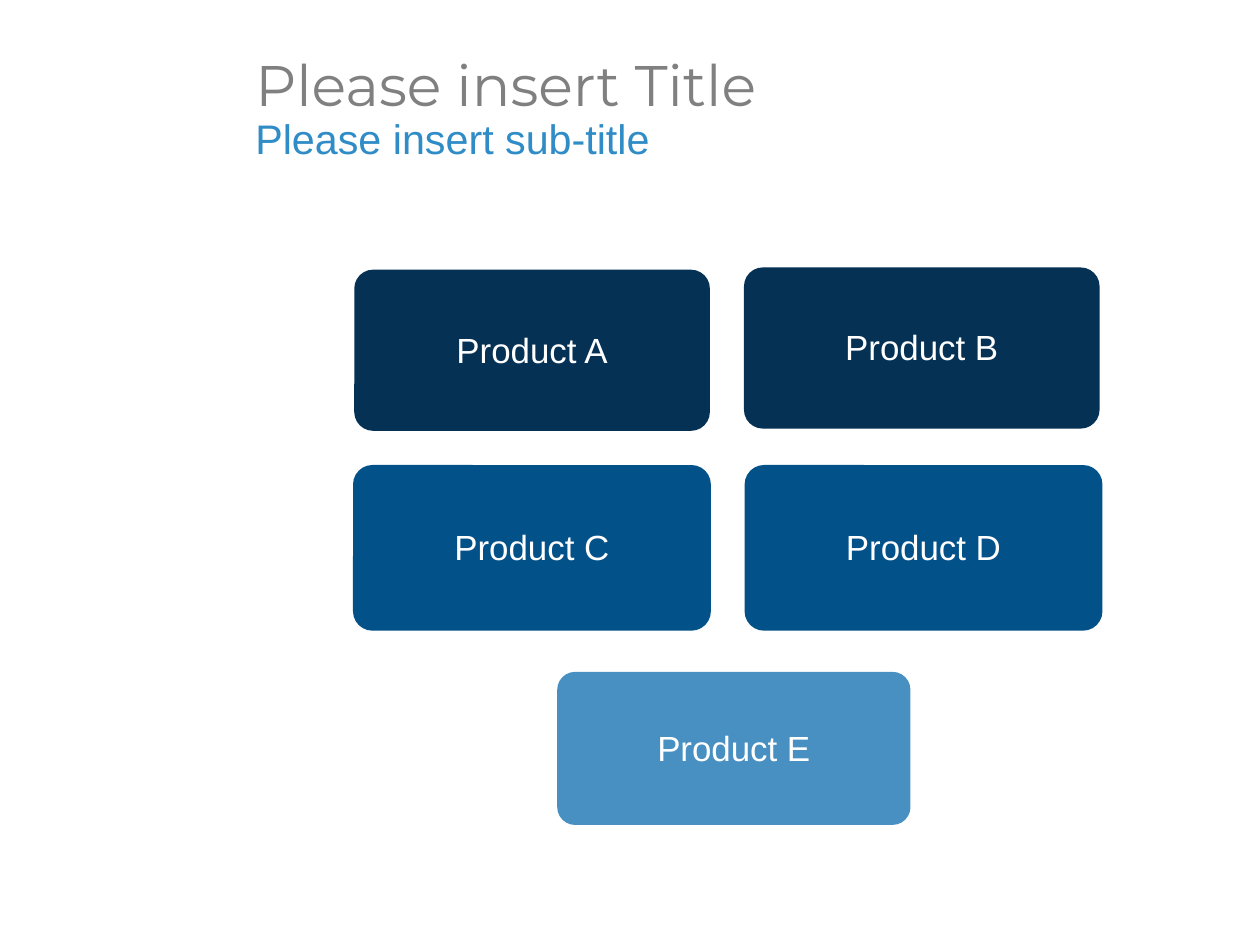
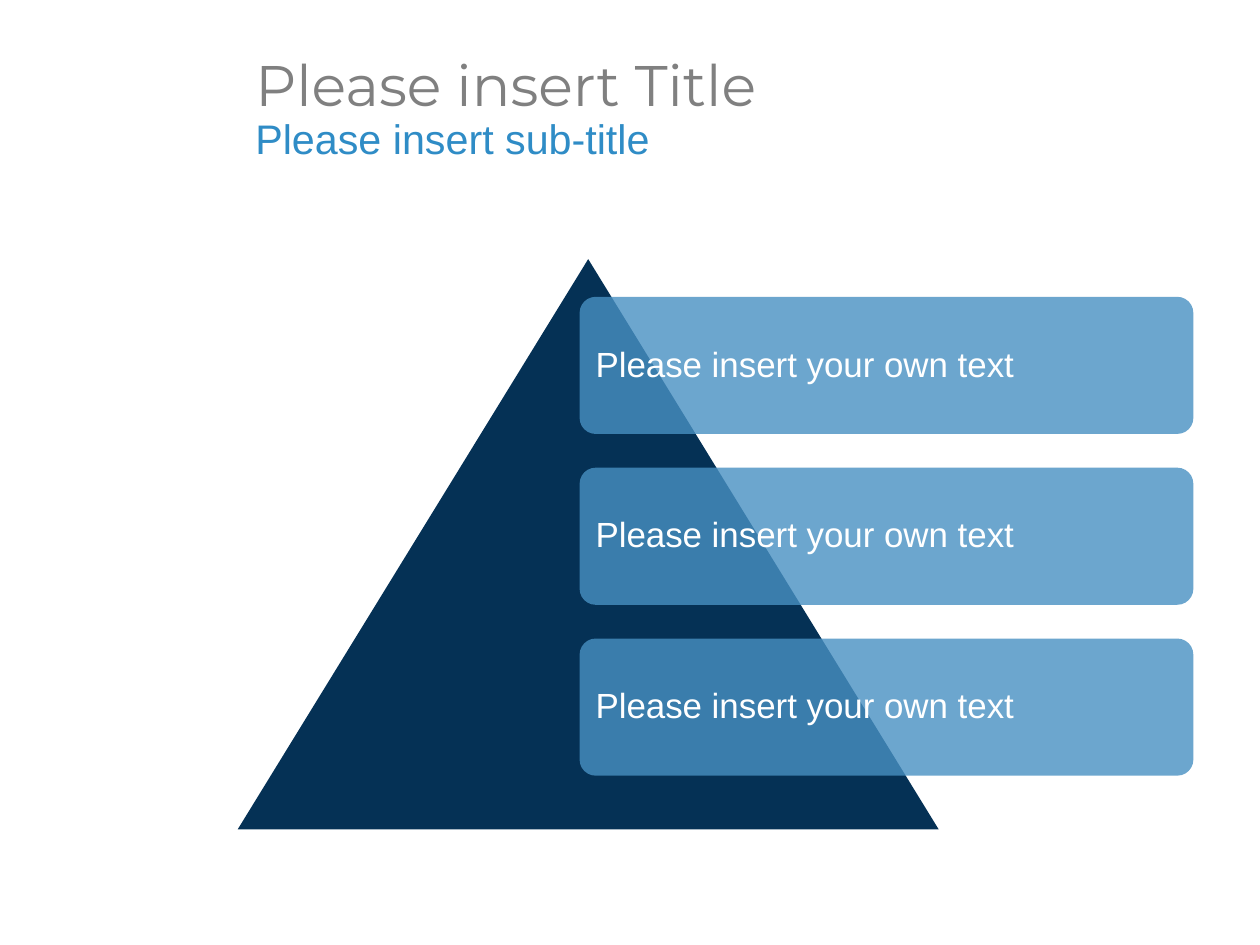
from dataclasses import dataclass

from lxml import etree
from pptx import Presentation
from pptx.dml.color import RGBColor
from pptx.enum.shapes import MSO_SHAPE
from pptx.enum.text import MSO_ANCHOR, PP_ALIGN
from pptx.oxml.ns import qn
from pptx.util import Cm, Inches, Pt

ROUND = MSO_SHAPE.ROUNDED_RECTANGLE
PEAK = MSO_SHAPE.ISOSCELES_TRIANGLE
LEFT, CENTER = PP_ALIGN.LEFT, PP_ALIGN.CENTER
TOP, MIDDLE = MSO_ANCHOR.TOP, MSO_ANCHOR.MIDDLE


@dataclass(frozen=True)
class Theme:
    width: int = Cm(28)
    height: int = Cm(21)
    cells: int = 100
    navy: str = "053155"
    blue: str = "035189"
    sky: str = "4890C2"
    accent: str = "2F8CC6"
    gray: str = "808080"
    white: str = "FFFFFF"
    head: str = "Montserrat"
    body: str = "Arial"
    title: int = 36
    sub: int = 26
    label: int = 22
    loose: float = 1.18
    tight: float = 0.93
    corner: float = 0.117
    side: float = 0.1
    edge: float = 0.05


class Deck:
    def __init__(self, theme):
        self.theme = theme
        self.file = Presentation()
        self.file.slide_width = theme.width
        self.file.slide_height = theme.height
        self.slide = None

    def place(self, col, row, cols, rows):
        wide = self.theme.width / self.theme.cells
        high = self.theme.height / self.theme.cells
        return [round(n) for n in (col * wide, row * high, cols * wide, rows * high)]

    def page(self):
        self.slide = self.file.slides.add_slide(self.file.slide_layouts[6])
        fill = self.slide.background.fill
        fill.solid()
        fill.fore_color.rgb = RGBColor.from_string(self.theme.white)

    def frame(self, shape, anchor, top):
        frame = shape.text_frame
        frame.word_wrap = True
        frame.vertical_anchor = anchor
        frame.margin_left = frame.margin_right = Inches(self.theme.side)
        frame.margin_top = Inches(top)
        frame.margin_bottom = Inches(self.theme.edge)
        return frame

    def style(self, para, font, size, color, space, align=LEFT):
        para.alignment = align
        para.line_spacing = space
        for run in para.runs:
            run.font.name = font
            run.font.size = Pt(size)
            run.font.color.rgb = RGBColor.from_string(color)

    def title(self, main, sub):
        t = self.theme
        box = self.slide.shapes.add_textbox(*self.place(19.37, 3.3, 73.57, 14.63))
        frame = self.frame(box, TOP, t.edge)
        frame.text = main + "\n" + sub
        first, second = frame.paragraphs
        self.style(first, t.head, t.title, t.gray, t.loose)
        self.style(second, t.body, t.sub, t.accent, t.tight)

    def shape(self, kind, area, color, alpha=100):
        shape = self.slide.shapes.add_shape(kind, *self.place(*area))
        shape.shadow.inherit = False
        shape.fill.solid()
        shape.fill.fore_color.rgb = RGBColor.from_string(color)
        shape.line.fill.background()
        if alpha < 100:
            tint = shape.fill._xPr.find(qn("a:solidFill"))[0]
            etree.SubElement(tint, qn("a:alpha")).set("val", str(alpha * 1000))
        return shape

    def card(self, text, area, color, align=CENTER, alpha=100, top=0.07):
        t = self.theme
        card = self.shape(ROUND, area, color, alpha)
        card.adjustments[0] = t.corner
        frame = self.frame(card, MIDDLE, top)
        frame.text = text
        self.style(frame.paragraphs[0], t.body, t.label, t.white, t.tight, align)

    def peak(self, area, color):
        self.shape(PEAK, area, color)

    def save(self):
        self.file.save("out.pptx")


def range_page(deck):
    t = deck.theme
    tiers = [
        ((28.12, 28.54, 28.22, 17.05), (30.93, -0.24), t.navy, "AB"),
        ((28.02, 49.21, 28.4, 17.53), (31.08, 0), t.blue, "CD"),
        ((44.22, 71.1, 28.04, 16.2), (0, 0), t.sky, "E"),
    ]
    deck.page()
    for (col, row, cols, rows), (right, down), color, names in tiers:
        for i, name in enumerate(names):
            area = (col + i * right, row + i * down, cols, rows)
            deck.card("Product " + name, area, color)
    deck.title("Please insert Title", "Please insert sub-title")


def peak_page(deck):
    t = deck.theme
    first, step = 31.41, 18.08
    deck.page()
    deck.peak((18.87, 27.42, 55.63, 60.34), t.navy)
    for i in range(3):
        area = (46.0, first + i * step, 48.71, 14.51)
        deck.card("Please insert your own text", area, t.sky, LEFT, 80, t.edge)
    deck.title("Please insert Title", "Please insert sub-title")


def main():
    deck = Deck(Theme())
    range_page(deck)
    peak_page(deck)
    deck.save()


if __name__ == "__main__":
    main()
